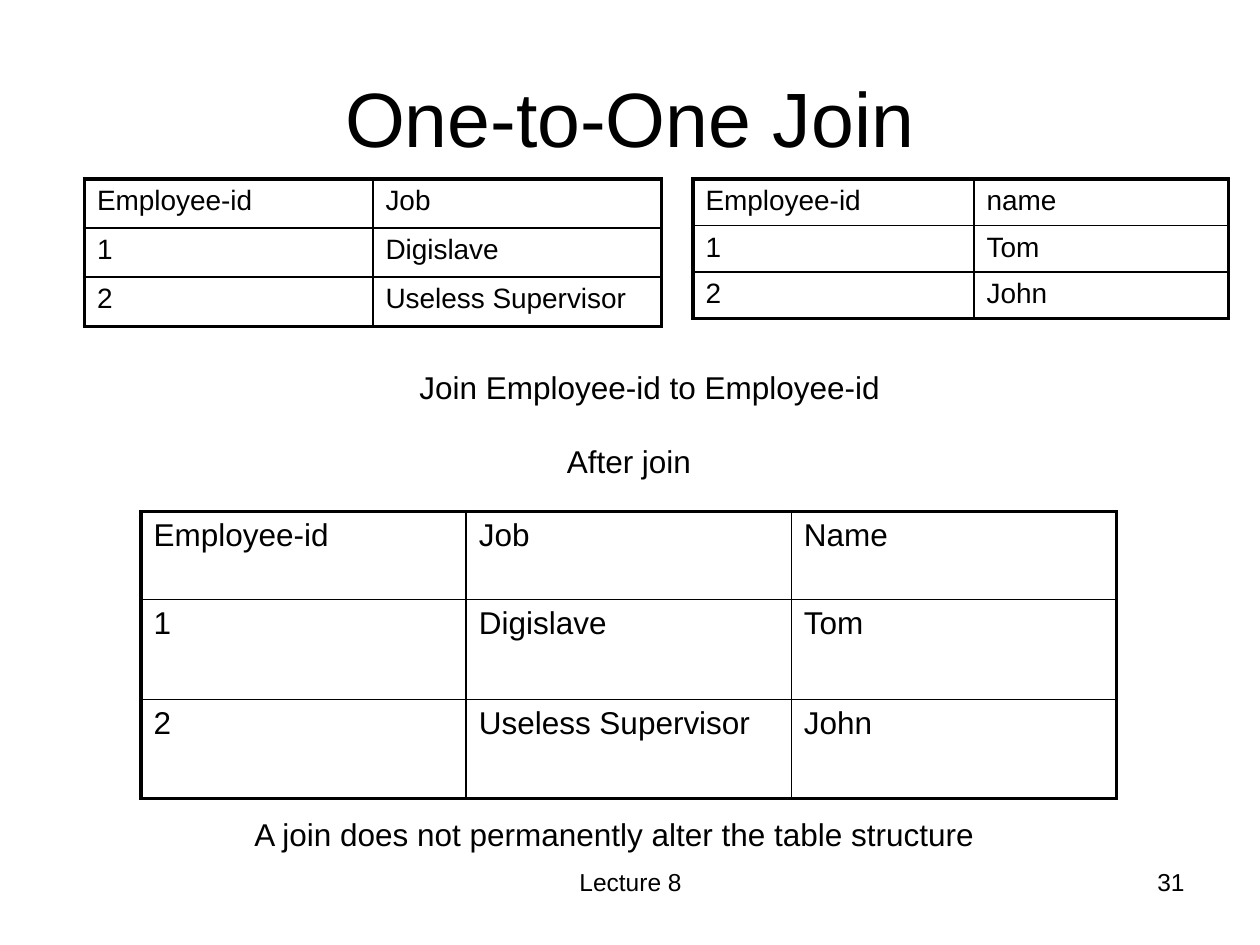
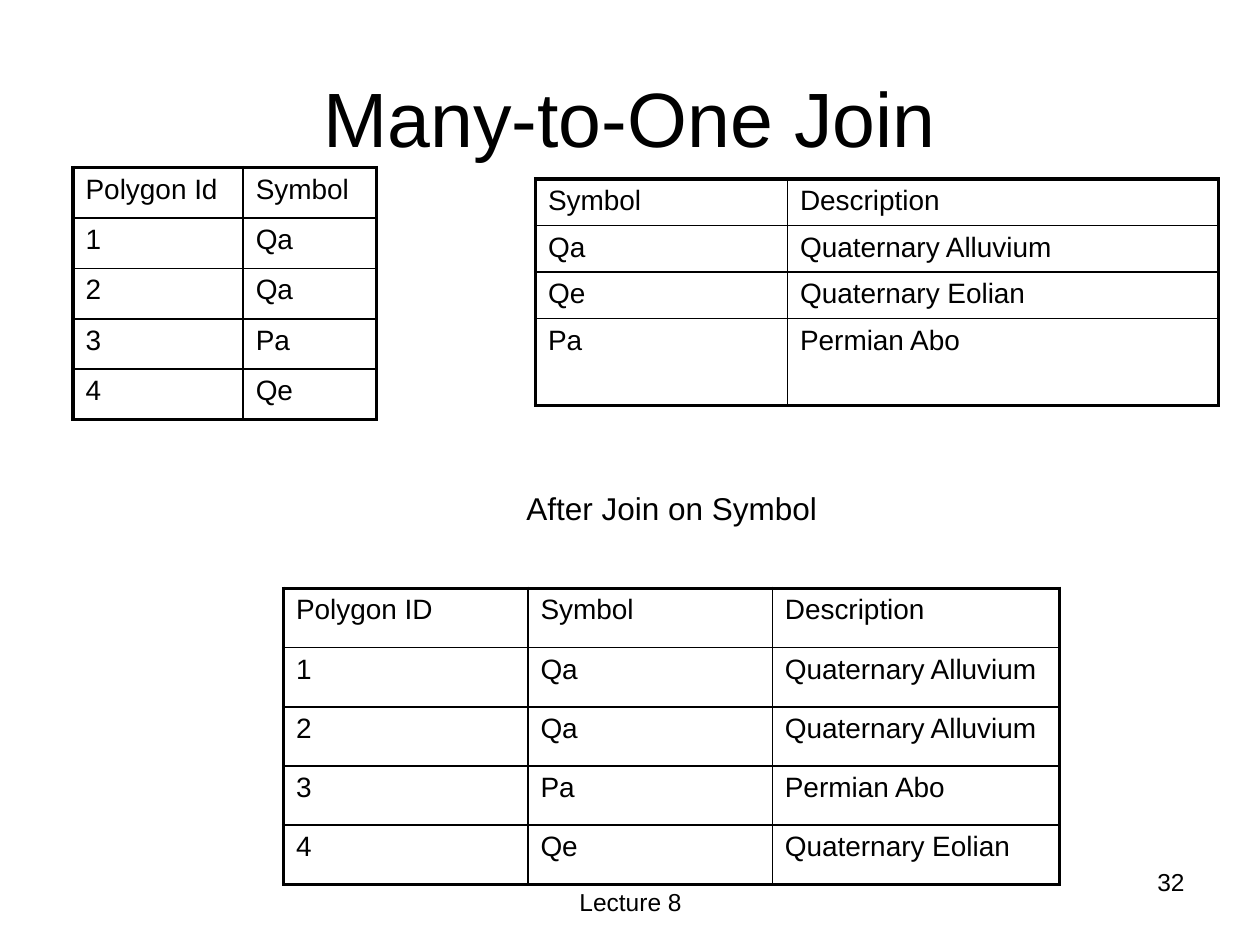
from lxml.etree import SubElement
from pptx import Presentation
from pptx.dml.color import RGBColor
from pptx.enum.text import MSO_ANCHOR, MSO_AUTO_SIZE, PP_ALIGN
from pptx.oxml.ns import qn
from pptx.util import Inches, Pt

BLACK = "000000"
FONT = "Arial"
TITLE_SIZE, BODY_SIZE, CELL_SIZE, FOOTER_SIZE = 44, 18, 16, 14
OUTER_LINE, INNER_LINE = 2.25, 1
FOOTER_TOP, FOOTER_HEIGHT = 6.83, 0.52


def color(hex_value):
    return RGBColor.from_string(hex_value)


def add_run(paragraph, text, size):
    run = paragraph.add_run()
    run.text = text
    run.font.name = FONT
    run.font.size = Pt(size)
    run.font.color.rgb = color(BLACK)


def add_titled_slide(presentation, text):
    slide = presentation.slides.add_slide(presentation.slide_layouts[5])
    title = slide.shapes.title
    title.left, title.top = Inches(0.5), Inches(0.3)
    title.width, title.height = Inches(9), Inches(1.25)
    frame = title.text_frame
    frame.auto_size = MSO_AUTO_SIZE.NONE
    frame.vertical_anchor = MSO_ANCHOR.MIDDLE
    paragraph = frame.paragraphs[0]
    paragraph.alignment = PP_ALIGN.CENTER
    add_run(paragraph, text, TITLE_SIZE)
    return slide


def add_text(slide, text, left, top, width, height, size=BODY_SIZE,
             alignment=PP_ALIGN.LEFT, wrap=True):
    box = slide.shapes.add_textbox(Inches(left), Inches(top), Inches(width), Inches(height))
    frame = box.text_frame
    frame.word_wrap = wrap
    paragraph = frame.paragraphs[0]
    paragraph.alignment = alignment
    add_run(paragraph, text, size)
    return frame


def add_caption(slide, text, left, top, width, height=0.4, wrap=False):
    frame = add_text(slide, text, left, top, width, height, wrap=wrap)
    frame.auto_size = MSO_AUTO_SIZE.SHAPE_TO_FIT_TEXT
    return frame


def add_indented_line(frame, text, indent, gap):
    paragraph = frame.add_paragraph()
    paragraph.space_before = Pt(gap)
    paragraph._p.get_or_add_pPr().set("marL", str(Inches(indent)))
    add_run(paragraph, text, BODY_SIZE)


def add_footer(slide, number, label_top=FOOTER_TOP):
    add_text(slide, "Lecture 8", 3.42, label_top, 3.17, FOOTER_HEIGHT,
             FOOTER_SIZE, PP_ALIGN.CENTER)
    add_text(slide, str(number), 7.17, FOOTER_TOP, 2.33, FOOTER_HEIGHT,
             FOOTER_SIZE, PP_ALIGN.RIGHT)


def set_border(cell, side, width):
    line = SubElement(cell._tc.get_or_add_tcPr(), qn(f"a:ln{side}"), w=str(Pt(width)))
    fill = SubElement(line, qn("a:solidFill"))
    SubElement(fill, qn("a:srgbClr"), val=BLACK)


def add_grid(slide, records, left, top, column_widths, row_heights, size=CELL_SIZE):
    row_count, column_count = len(records), len(records[0])
    frame = slide.shapes.add_table(row_count, column_count, Inches(left), Inches(top),
                                   Inches(sum(column_widths)), Inches(sum(row_heights)))
    table = frame.table
    table.first_row = table.horz_banding = False
    for column, width in zip(table.columns, column_widths):
        column.width = Inches(width)
    for row, height in zip(table.rows, row_heights):
        row.height = Inches(height)
    for row_index, record in enumerate(records):
        for column_index, value in enumerate(record):
            cell = table.cell(row_index, column_index)
            add_run(cell.text_frame.paragraphs[0], value, size)
            outer_sides = {
                "L": column_index == 0,
                "R": column_index == column_count - 1,
                "T": row_index == 0,
                "B": row_index == row_count - 1,
            }
            for side, is_outer in outer_sides.items():
                set_border(cell, side, OUTER_LINE if is_outer else INNER_LINE)
            cell.fill.background()


def build_one_to_one(presentation):
    slide = add_titled_slide(presentation, "One-to-One Join")
    jobs = [("Employee-id", "Job"), ("1", "Digislave"), ("2", "Useless Supervisor")]
    names = [("Employee-id", "name"), ("1", "Tom"), ("2", "John")]
    joined = [job + (name[1],) for job, name in zip(jobs, names)]
    joined[0] = ("Employee-id", "Job", "Name")
    add_grid(slide, jobs, 0.67, 1.42, [2.29] * 2, [0.39] * 3)
    add_grid(slide, names, 5.5, 1.42, [2.23, 2.02], [0.37] * 3)
    steps = add_caption(slide, "Join Employee-id to Employee-id", 3.23, 2.87, 3.89, 1.01)
    add_indented_line(steps, "After join", 1.17, 21)
    add_grid(slide, joined, 1.12, 4.06, [2.58] * 3, [0.7, 0.79, 0.79], BODY_SIZE)
    add_caption(slide, "A join does not permanently alter the table structure", 1.92, 6.42, 5.92)
    add_footer(slide, 31)


def build_many_to_one(presentation):
    slide = add_titled_slide(presentation, "Many-to-One Join")
    descriptions = [("Symbol", "Description"), ("Qa", "Quaternary Alluvium"),
                    ("Qe", "Quaternary Eolian"), ("Pa", "Permian Abo")]
    polygons = [("Polygon Id", "Symbol"), ("1", "Qa"), ("2", "Qa"), ("3", "Pa"), ("4", "Qe")]
    lookup = dict(descriptions)
    joined = [(polygon, symbol, lookup[symbol]) for polygon, symbol in polygons]
    joined[0] = ("Polygon ID", "Symbol", "Description")
    add_grid(slide, descriptions, 4.25, 1.42, [2, 3.42], [0.37] * 3 + [0.69])
    add_grid(slide, polygons, 0.58, 1.33, [1.35, 1.06], [0.4] * 5)
    add_grid(slide, joined, 2.25, 4.67, [1.94, 1.94, 2.28], [0.47] * 5)
    add_caption(slide, "After Join on Symbol", 4.08, 3.83, 2.75, wrap=True)
    add_footer(slide, 32, label_top=6.99)


def main():
    presentation = Presentation()
    presentation.slide_width, presentation.slide_height = Inches(10), Inches(7.5)
    build_one_to_one(presentation)
    build_many_to_one(presentation)
    presentation.save("out.pptx")


if __name__ == "__main__":
    main()
